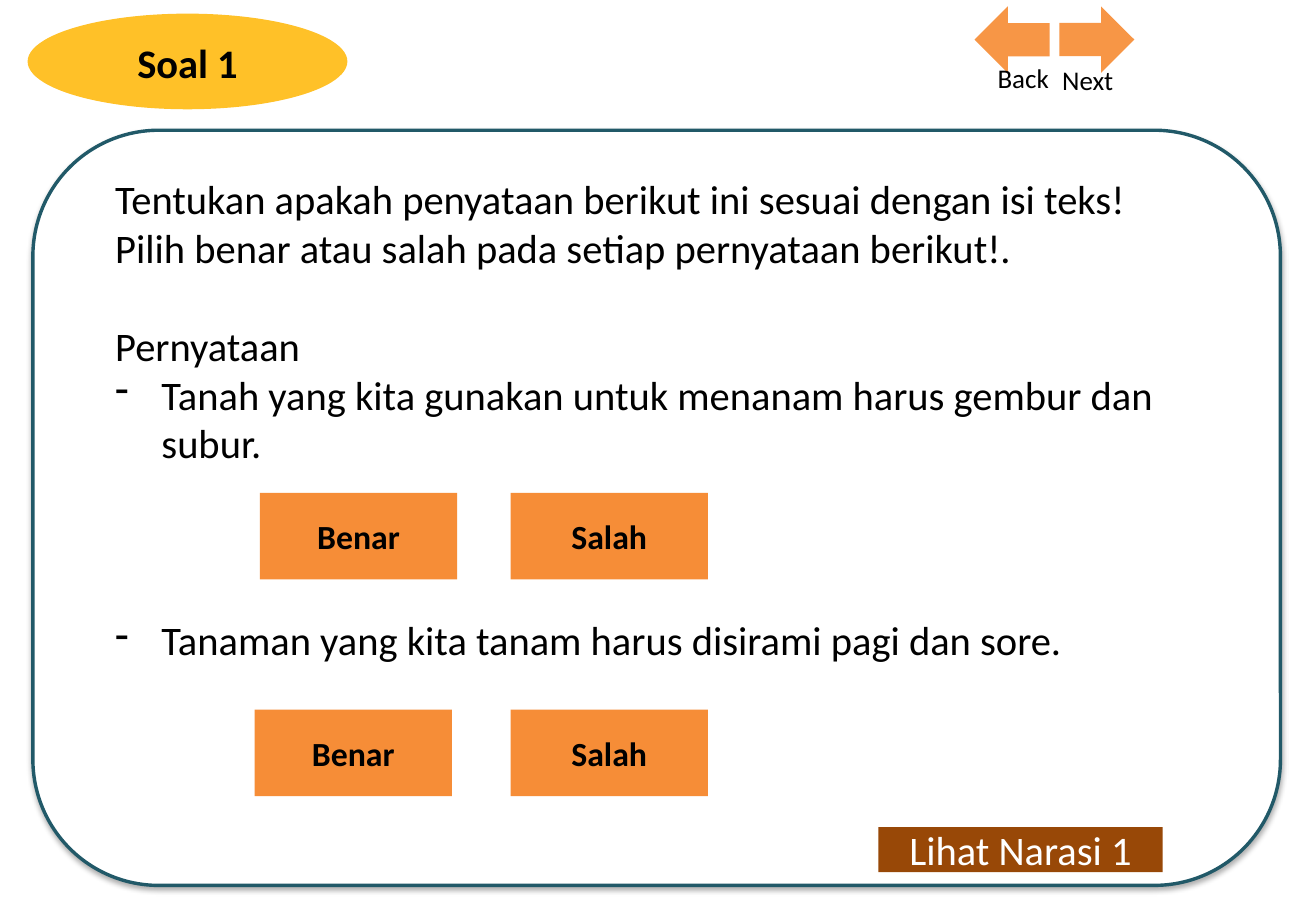
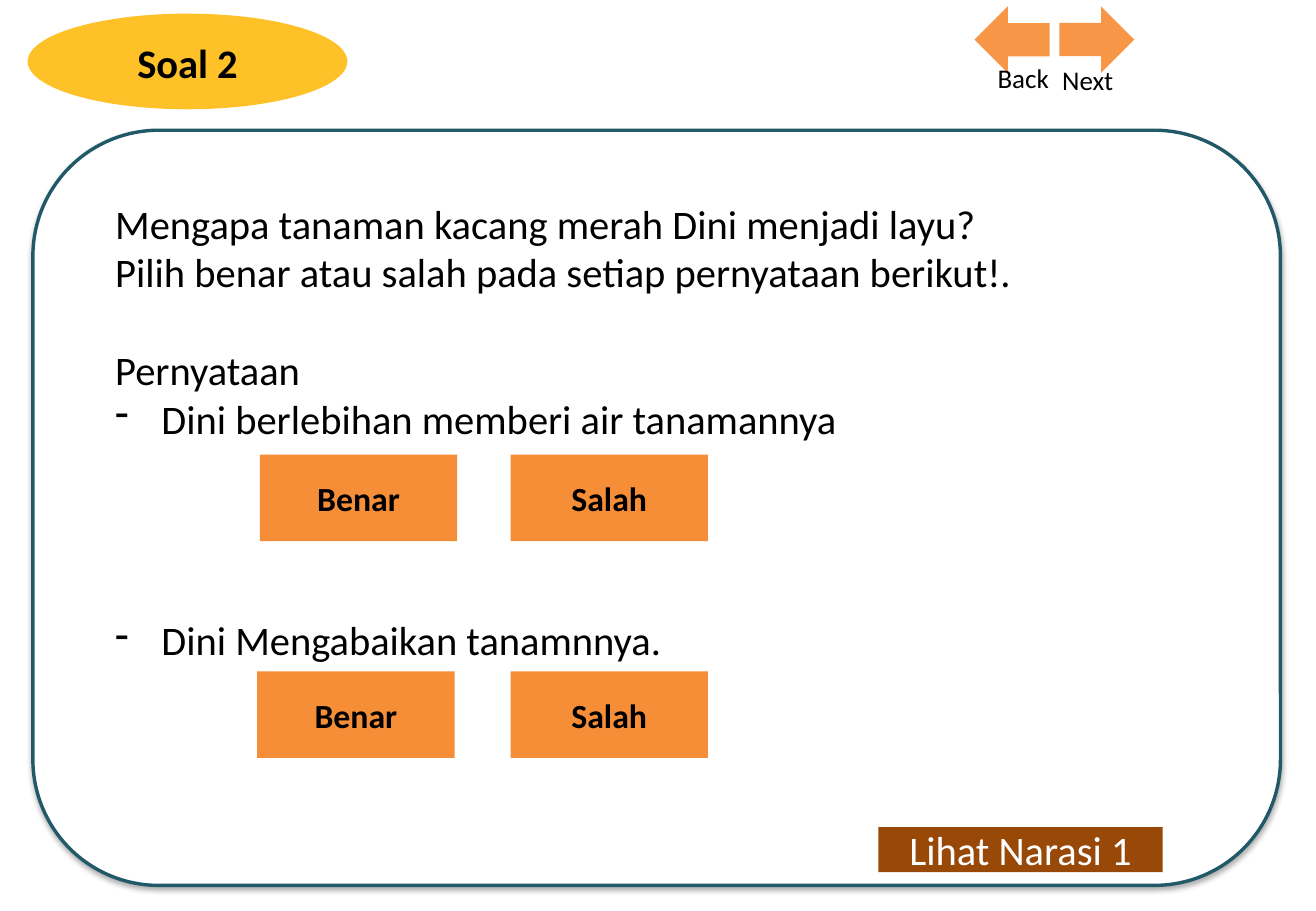
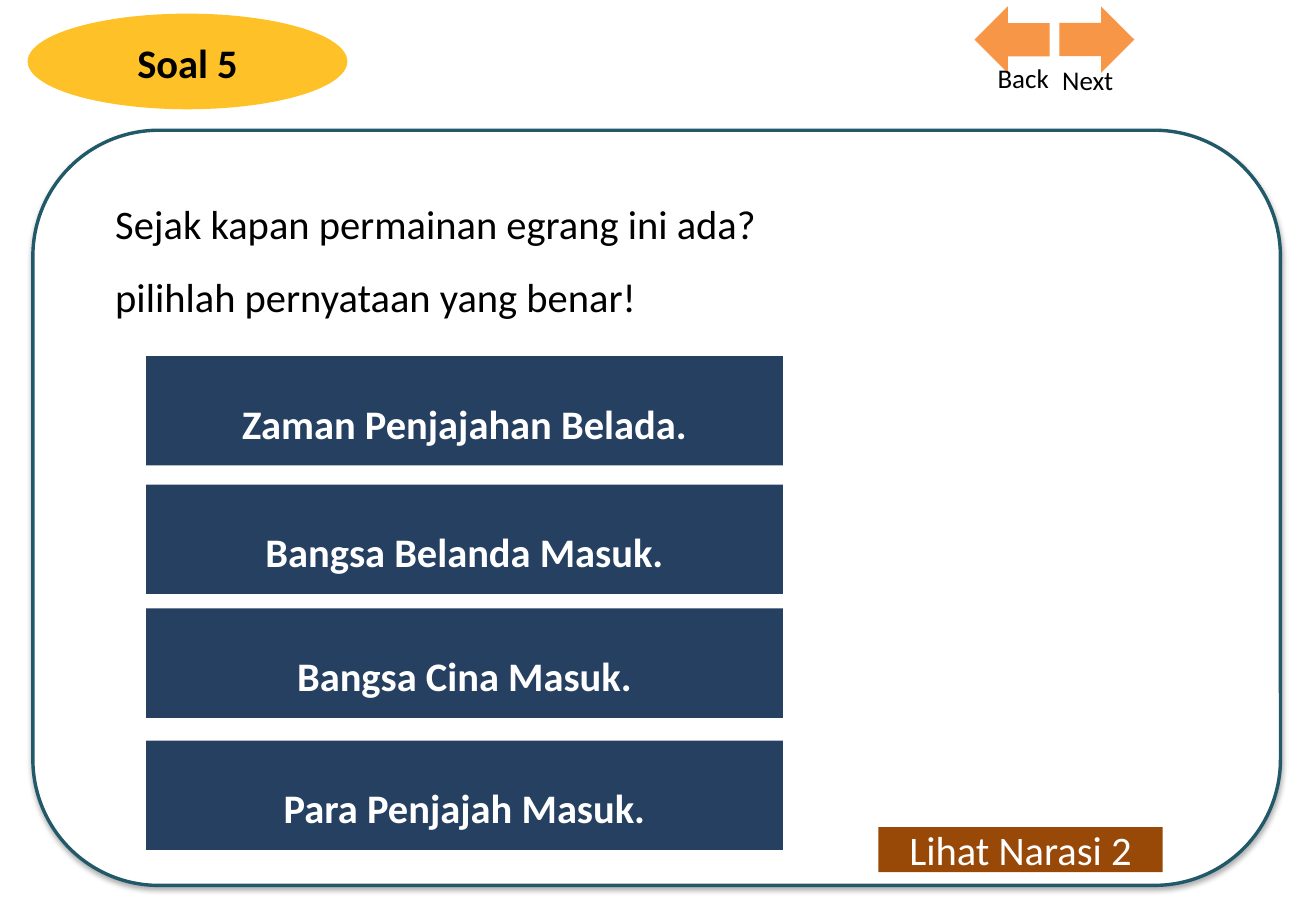
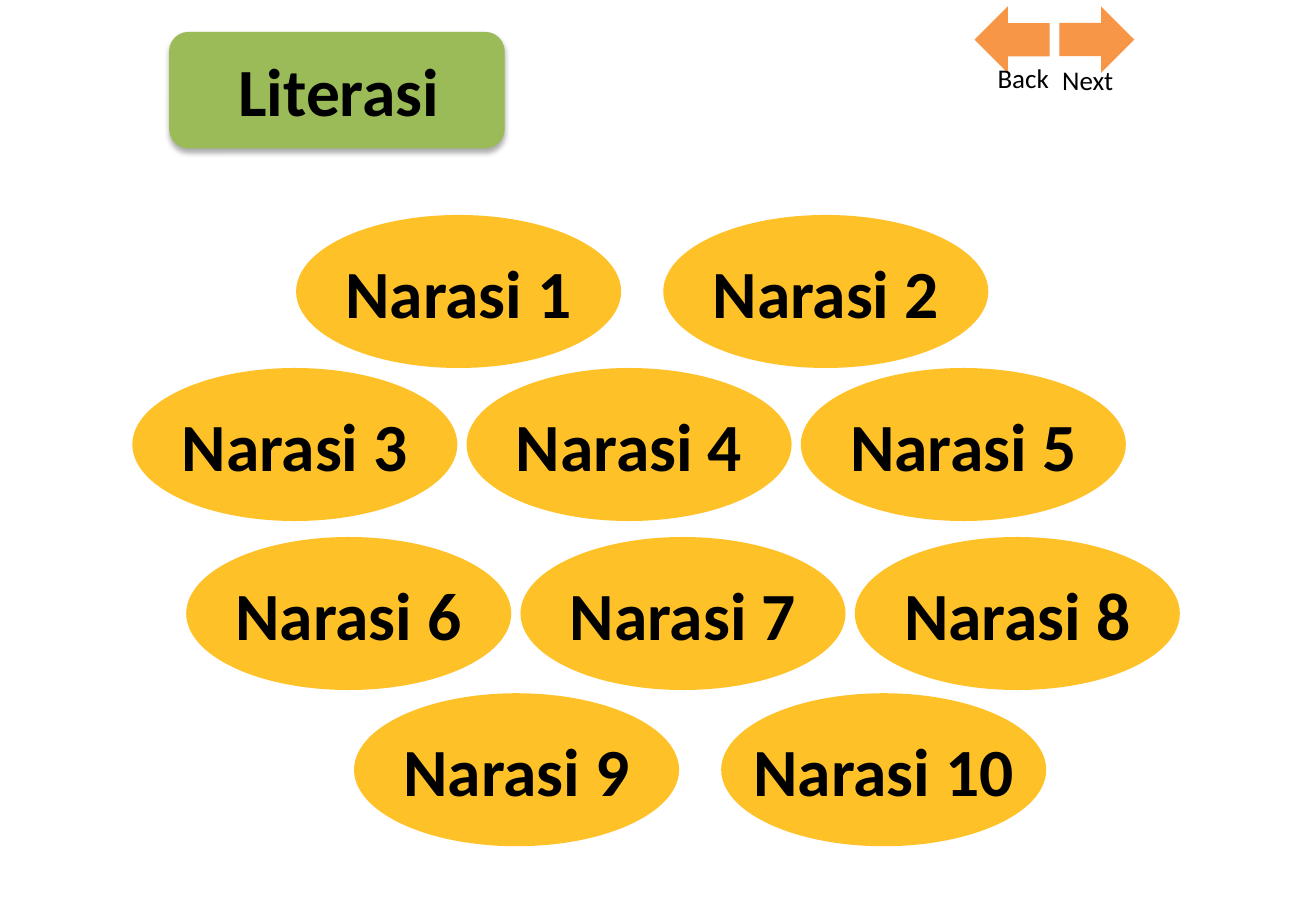
from lxml.etree import SubElement
from pptx import Presentation
from pptx.dml.color import RGBColor
from pptx.enum.shapes import MSO_SHAPE as Shape
from pptx.enum.text import MSO_ANCHOR as Anchor, MSO_AUTO_SIZE as AutoSize, PP_ALIGN as Align
from pptx.oxml.ns import qn
from pptx.util import Inches, Pt

BLACK, WHITE = "000000", "FFFFFF"
YELLOW, ORANGE, ARROW = "FFC128", "F68D37", "F79646"
TEAL, BROWN, NAVY, GREEN = "215968", "984807", "254061", "9BBB59"
FONT = "Calibri"
BLANK = 29.3


def color(value):
    return RGBColor.from_string(value)


class Deck:
    """Quiz slides placed by percentages of the slide width and height."""

    def __init__(self):
        self.prs = Presentation()
        self.prs.slide_width, self.prs.slide_height = Inches(10.83), Inches(7.5)
        self.s = None

    def box(self, x, y, w, h):
        sw, sh = self.prs.slide_width, self.prs.slide_height
        return [round(v * side / 100) for v, side in zip((x, y, w, h), (sw, sh, sw, sh))]

    def style(self, p, size, ink=BLACK, bold=False, align=Align.LEFT, spacing=None):
        p.alignment = align
        if spacing:
            p.line_spacing = spacing
        for r in p.runs:
            r.font.name, r.font.size, r.font.bold = FONT, Pt(size), bold
            r.font.color.rgb = color(ink)

    def shape(self, kind, box, fill, line=None, shadow=False):
        sp = self.s.shapes.add_shape(kind, *self.box(*box))
        sp.shadow.inherit = False
        sp.fill.solid()
        sp.fill.fore_color.rgb = color(fill)
        if line:
            sp.line.color.rgb = color(line)
            sp.line.width = Pt(2)
        else:
            sp.line.fill.background()
        if shadow:
            effects = sp._element.spPr.find(qn("a:effectLst"))
            outer = SubElement(effects, qn("a:outerShdw"), blurRad=str(Pt(3.5)),
                               dist=str(Pt(2.2)), dir="5400000", rotWithShape="0")
            rgb = SubElement(outer, qn("a:srgbClr"), val=BLACK)
            SubElement(rgb, qn("a:alpha"), val="32000")
        return sp

    def button(self, text, box, fill, size, ink=BLACK, bold=True, kind=Shape.RECTANGLE, spacing=None):
        tf = self.shape(kind, box, fill).text_frame
        tf.word_wrap = False
        tf.vertical_anchor = Anchor.MIDDLE
        tf.text = text
        self.style(tf.paragraphs[0], size, ink, bold, Align.CENTER, spacing)

    def label(self, text, box, align):
        tf = self.s.shapes.add_textbox(*self.box(*box)).text_frame
        tf.word_wrap = True
        tf.text = text
        self.style(tf.paragraphs[0], 16, align=align)

    def slide(self, title, kind, badge, fill, box, size, shadow=False):
        self.s = self.prs.slides.add_slide(self.prs.slide_layouts[5])
        back = self.shape(kind, badge, fill, shadow=shadow)
        sp = self.s.shapes.title
        sp.left, sp.top, sp.width, sp.height = self.box(*box)
        back._element.addnext(sp._element)
        tf = sp.text_frame
        tf.text = title
        tf.auto_size, tf.vertical_anchor = AutoSize.NONE, Anchor.MIDDLE
        self.style(tf.paragraphs[0], size, bold=True, align=Align.CENTER)

    def navigation(self):
        for x, turn in ((74.05, 180), (80.5, 0)):
            self.shape(Shape.RIGHT_ARROW, (x, 0.7, 5.7, 7.3), ARROW).rotation = turn
        self.label("Next", (79.8, 6.3, 12.9, 4.95), Align.LEFT)
        self.label("Back", (67.7, 6.15, 12.9, 4.95), Align.RIGHT)

    def paragraphs(self, items, height):
        tf = self.s.shapes.add_textbox(*self.box(7.85, 18.5, 87.3, height)).text_frame
        tf.word_wrap = True
        for i, (text, bullet, blanks, spacing) in enumerate(items):
            p = tf.paragraphs[0] if i == 0 else tf.add_paragraph()
            p.text = text
            if bullet:
                pPr = p._p.get_or_add_pPr()
                pPr.set("marL", str(Inches(0.38)))
                pPr.set("indent", str(-Inches(0.38)))
                SubElement(pPr, qn("a:buFontTx"))
                SubElement(pPr, qn("a:buChar"), char="-")
            if blanks:
                p.space_before = Pt(blanks * BLANK)
            self.style(p, 24, spacing=spacing)

    def question(self, number, story, items, height):
        self.slide(f"Soal {number}", Shape.OVAL, (2.1, 1.5, 24.3, 10.5), YELLOW,
                   (1.7, 3.5, 25.1, 6.7), 24)
        self.shape(Shape.ROUNDED_RECTANGLE, (2.5, 14.3, 94.8, 82.9), WHITE, TEAL, True)
        self.paragraphs(items, height)
        self.button(f"Lihat Narasi {story}", (66.75, 90.8, 21.6, 4.95), BROWN, 24, WHITE, False)
        self.navigation()

    def true_false(self, number, intro, statements, rows, spacing=None):
        first, second = statements
        self.question(number, 1, [
            (intro, False, 0, spacing),
            ("Pilih benar atau salah pada setiap pernyataan berikut!.", False, 0, None),
            ("Pernyataan", False, 1, None),
            (first, True, 0, None),
            (second, True, 3, spacing)], 55.2)
        for left, top in rows:
            for text, x in (("Benar", left), ("Salah", 38.8)):
                self.button(text, (x, top, 15, 9.5), ORANGE, 20)

    def choices(self, number, story, lines, options):
        self.question(number, story, [(text, False, 0, 1.5) for text in lines], 25.6)
        for text, top in options:
            self.button(text, (11.1, top, 48.4, 12), NAVY, 24, WHITE, spacing=1.5)

    def menu(self, title, rows):
        self.slide(title, Shape.ROUNDED_RECTANGLE, (12.85, 3.5, 25.5, 12.8), GREEN,
                   (13, 4.7, 25.5, 10.3), 40, True)
        number = 0
        for left, step, top, count in rows:
            for i in range(count):
                number += 1
                self.button(f"Narasi {number}", (left + i * step, top, 24.7, 16.8),
                            YELLOW, 40, kind=Shape.OVAL)
        self.navigation()


def main():
    deck = Deck()
    deck.true_false(
        1, "Tentukan apakah penyataan berikut ini sesuai dengan isi teks!",
        ("Tanah yang kita gunakan untuk menanam harus gembur dan subur.",
         "Tanaman yang kita tanam harus disirami pagi dan sore."),
        ((19.75, 54.1), (19.35, 77.9)))
    deck.true_false(
        2, "Mengapa tanaman kacang merah Dini menjadi layu?",
        ("Dini berlebihan memberi air tanamannya", "Dini Mengabaikan tanamnnya."),
        ((19.75, 49.9), (19.55, 73.7)), 1.5)
    deck.choices(
        5, 2, ("Sejak kapan permainan egrang ini ada?", "pilihlah pernyataan yang benar!"),
        (("Zaman Penjajahan Belada.", 39.1), ("Bangsa Belanda Masuk.", 53.2),
         ("Bangsa Cina Masuk.", 66.8), ("Para Penjajah Masuk.", 81.3)))
    deck.menu("Literasi", (
        (22.5, 27.9, 23.6, 2), (10.05, 25.4, 40.4, 3),
        (14.15, 25.4, 58.95, 3), (26.9, 27.9, 76.1, 2)))
    deck.prs.save("out.pptx")


if __name__ == "__main__":
    main()
